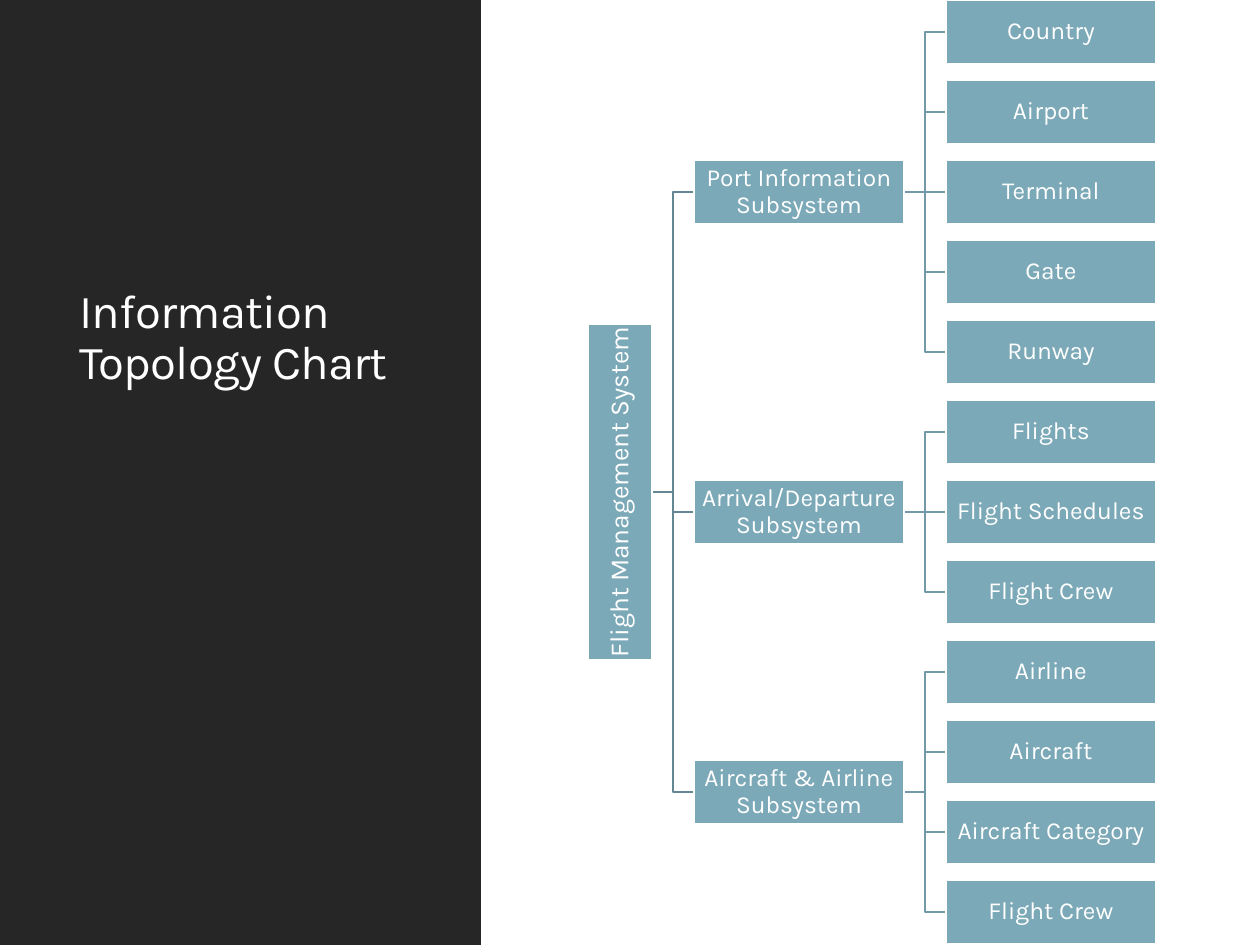
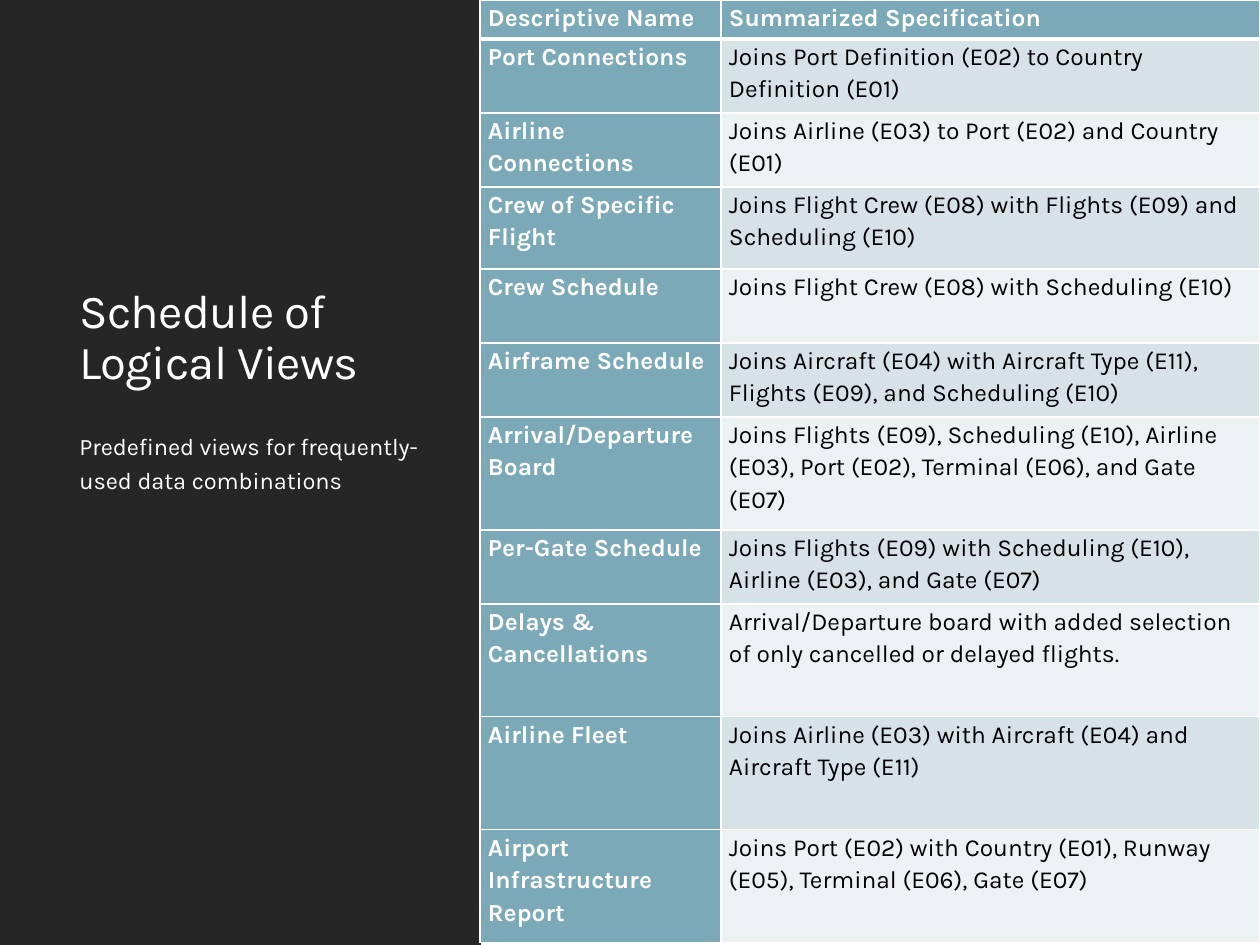
from dataclasses import dataclass
from typing import NamedTuple

from lxml import etree
from pptx import Presentation
from pptx import util as u
from pptx.dml.color import RGBColor
from pptx.enum import shapes, text
from pptx.oxml.ns import qn

PX_PER_INCH = 126
SLIDE_W, SLIDE_H = 1260, 945


@dataclass(frozen=True)
class Theme:
    font: str = "Karla"
    panel: str = "262626"
    accent: str = "7CA9B8"
    white: str = "FFFFFF"
    ink: str = "000000"
    trunk_line: str = "638793"
    twig_line: str = "7199A7"
    bands: tuple[str, str] = ("D7E2E6", "ECF1F3")
    title_size: float = 27
    body_size: float = 13.5
    root_size: float = 15
    node_size: float = 14
    line_width: float = 1.25
    rule: float = 1
    header_rule: float = 3


THEME = Theme()


class Box(NamedTuple):
    left: int
    top: int
    width: int
    height: int

    def emu(self) -> list[int]:
        return [px(length) for length in self]


class Branch(NamedTuple):
    label: str
    leaves: tuple[str, ...]


class View(NamedTuple):
    name: str
    specification: str
    height: int


PANEL = Box(0, 0, 481, SLIDE_H)
TITLE = Box(67, 108, 364, 288)
SUBTITLE = Box(67, 420, 364, 422)

NODE_W, NODE_H, LEAF_PITCH = 210, 64, 80
BRANCH_LEFT, LEAF_LEFT = 694, 946
ROOT_LEFT, ROOT_LENGTH = 588, 336
ROOT_LABEL = "Flight Management System"
BRANCHES = (
    Branch("Port Information Subsystem",
           ("Country", "Airport", "Terminal", "Gate", "Runway")),
    Branch("Arrival/Departure Subsystem",
           ("Flights", "Flight Schedules", "Flight Crew")),
    Branch("Aircraft & Airline Subsystem",
           ("Airline", "Aircraft", "Aircraft Category", "Flight Crew")),
)

TABLE_LEFT, COLUMN_WIDTHS = 480, (241, 539)
TWO_LINES, THREE_LINES = 74, 113
VIEWS = (
    View("Descriptive Name", "Summarized Specification", 39),
    View("Port Connections",
         "Joins Port Definition (E02) to Country Definition (E01)", TWO_LINES),
    View("Airline Connections",
         "Joins Airline (E03) to Port (E02) and Country (E01)", TWO_LINES),
    View("Crew of Specific Flight",
         "Joins Flight Crew (E08) with Flights (E09) and Scheduling (E10)", 82),
    View("Crew Schedule",
         "Joins Flight Crew (E08) with Scheduling (E10)", TWO_LINES),
    View("Airframe Schedule",
         "Joins Aircraft (E04) with Aircraft Type (E11), Flights (E09), "
         "and Scheduling (E10)", TWO_LINES),
    View("Arrival/Departure Board",
         "Joins Flights (E09), Scheduling (E10), Airline (E03), Port (E02), "
         "Terminal (E06), and Gate (E07)", THREE_LINES),
    View("Per-Gate Schedule",
         "Joins Flights (E09) with Scheduling (E10), Airline (E03), "
         "and Gate (E07)", TWO_LINES),
    View("Delays & Cancellations",
         "Arrival/Departure board with added selection of only cancelled "
         "or delayed flights.", THREE_LINES),
    View("Airline Fleet",
         "Joins Airline (E03) with Aircraft (E04) and Aircraft Type (E11)",
         THREE_LINES),
    View("Airport Infrastructure Report",
         "Joins Port (E02) with Country (E01), Runway (E05), Terminal (E06), "
         "Gate (E07)", THREE_LINES),
)


def px(length: int) -> int:
    return round(length * u.Inches(1) / PX_PER_INCH)


def rgb(color: str) -> RGBColor:
    return RGBColor.from_string(color)


def write(frame, words: str, size: float, line_spacing: float,
          color: str = THEME.white, bold: bool = False):
    """Put one formatted paragraph in the frame and return its run."""
    frame.word_wrap = True
    frame.text = words
    paragraph = frame.paragraphs[0]
    paragraph.line_spacing = line_spacing
    run = paragraph.runs[0]
    run.font.name = THEME.font
    run.font.size = u.Pt(size)
    run.font.bold = bold
    run.font.color.rgb = rgb(color)
    return run


def add_rectangle(slide, box: Box, fill: str):
    rectangle = slide.shapes.add_shape(shapes.MSO_SHAPE.RECTANGLE, *box.emu())
    rectangle.shadow.inherit = False
    rectangle.fill.solid()
    rectangle.fill.fore_color.rgb = rgb(fill)
    rectangle.line.fill.background()
    return rectangle


def add_panel_slide(deck, title: str):
    """Start a slide with the dark side panel and its title."""
    slide = deck.slides.add_slide(deck.slide_layouts[6])
    add_rectangle(slide, PANEL, THEME.panel)
    heading = slide.shapes.add_textbox(*TITLE.emu()).text_frame
    heading.vertical_anchor = text.MSO_ANCHOR.BOTTOM
    run = write(heading, title, THEME.title_size, 0.9)
    run.font._element.set("spc", "-40")
    return slide


def add_node(slide, box: Box, label: str, size: float = THEME.node_size):
    node = add_rectangle(slide, box, THEME.accent)
    node.line.color.rgb = rgb(THEME.white)
    node.line.width = u.Pt(THEME.line_width)
    frame = node.text_frame
    frame.margin_left = frame.margin_right = px(1)
    frame.margin_top = frame.margin_bottom = px(1)
    frame.vertical_anchor = text.MSO_ANCHOR.MIDDLE
    write(frame, label, size, 0.9)
    frame.paragraphs[0].alignment = text.PP_ALIGN.CENTER
    return node


def join(slide, parent, child, color: str) -> None:
    """Link the parent's right side to the child's left side, behind both."""
    level = parent.top + parent.height // 2 == child.top + child.height // 2
    kind = shapes.MSO_CONNECTOR.STRAIGHT if level else shapes.MSO_CONNECTOR.ELBOW
    link = slide.shapes.add_connector(kind, 0, 0, 0, 0)
    link.begin_connect(parent, 3)
    link.end_connect(child, 1)
    link.line.color.rgb = rgb(color)
    link.line.width = u.Pt(THEME.line_width)
    etree.SubElement(link._element.spPr, qn("a:effectLst"))
    slide.shapes._spTree.insert(2, link._element)


def add_topology(slide) -> None:
    branch_tops = []
    first_leaf = 0
    for branch in BRANCHES:
        middle_leaf = first_leaf + (len(branch.leaves) - 1) / 2
        branch_tops.append(round(middle_leaf * LEAF_PITCH))
        first_leaf += len(branch.leaves)

    root_center = (branch_tops[0] + branch_tops[-1] + NODE_H) // 2
    root_box = Box(ROOT_LEFT, root_center - ROOT_LENGTH // 2, NODE_H, ROOT_LENGTH)
    root = add_node(slide, root_box, ROOT_LABEL, THEME.root_size)
    root.text_frame._txBody.bodyPr.set("vert", "vert270")

    leaf_top = 0
    for branch, top in zip(BRANCHES, branch_tops):
        subsystem = add_node(slide, Box(BRANCH_LEFT, top, NODE_W, NODE_H),
                             branch.label)
        join(slide, root, subsystem, THEME.trunk_line)
        for label in branch.leaves:
            leaf = add_node(slide, Box(LEAF_LEFT, leaf_top, NODE_W, NODE_H), label)
            join(slide, subsystem, leaf, THEME.twig_line)
            leaf_top += LEAF_PITCH


def set_borders(cell, top: float, bottom: float) -> None:
    properties = cell._tc.get_or_add_tcPr()
    widths = {"L": THEME.rule, "R": THEME.rule, "T": top, "B": bottom}
    for side, width in widths.items():
        line = etree.SubElement(properties, qn(f"a:ln{side}"), w=str(u.Pt(width)))
        fill = etree.SubElement(line, qn("a:solidFill"))
        etree.SubElement(fill, qn("a:srgbClr"), val=THEME.white)


def add_views_table(slide) -> None:
    box = Box(TABLE_LEFT, 0, sum(COLUMN_WIDTHS), sum(v.height for v in VIEWS))
    table = slide.shapes.add_table(len(VIEWS), len(COLUMN_WIDTHS), *box.emu()).table
    for column, width in zip(table.columns, COLUMN_WIDTHS):
        column.width = px(width)
    for row, view in enumerate(VIEWS):
        table.rows[row].height = px(view.height)
        for column, words in enumerate((view.name, view.specification)):
            cell = table.cell(row, column)
            heading = row == 0 or column == 0
            set_borders(cell,
                        top=THEME.header_rule if row == 1 else THEME.rule,
                        bottom=THEME.header_rule if row == 0 else THEME.rule)
            cell.fill.solid()
            cell.fill.fore_color.rgb = rgb(
                THEME.accent if heading else THEME.bands[(row - 1) % 2])
            cell.margin_left = cell.margin_right = px(8)
            cell.margin_top = cell.margin_bottom = 0
            write(cell.text_frame, words, THEME.node_size, 1.14,
                  THEME.white if heading else THEME.ink, heading)


def main() -> None:
    deck = Presentation()
    deck.slide_width, deck.slide_height = px(SLIDE_W), px(SLIDE_H)

    add_topology(add_panel_slide(deck, "Information Topology Chart"))

    views = add_panel_slide(deck, "Schedule of Logical Views")
    subtitle = views.shapes.add_textbox(*SUBTITLE.emu()).text_frame
    write(subtitle, "Predefined views for frequently-used data combinations",
          THEME.body_size, 1.2)
    add_views_table(views)

    deck.save("out.pptx")


if __name__ == "__main__":
    main()
